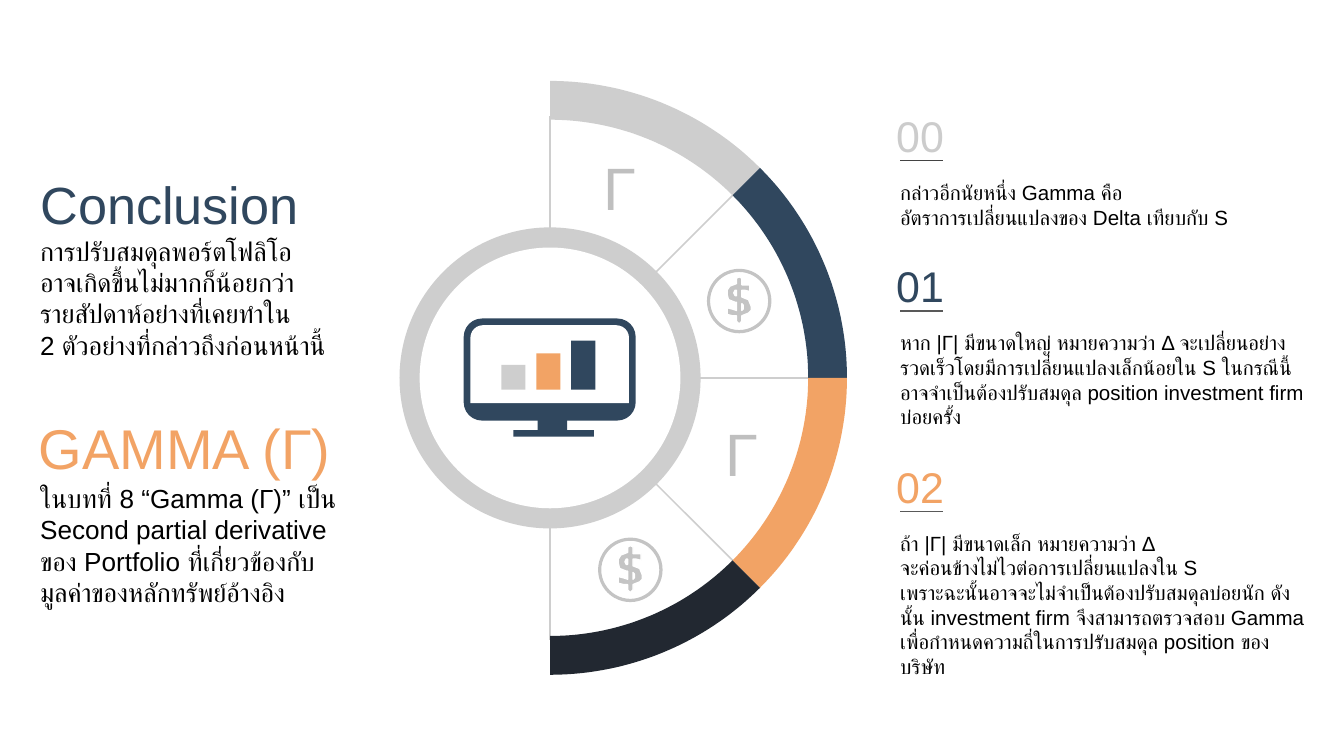
from dataclasses import dataclass
from math import cos, radians, sin

from lxml import etree
from pptx import Presentation
from pptx import util as u
from pptx.dml.color import RGBColor
from pptx.enum import shapes, text
from pptx.oxml import ns


@dataclass(frozen=True)
class Theme:
    font: str = "Arial"
    navy: str = "30475E"
    orange: str = "F2A365"
    ink: str = "222831"
    silver: str = "CECECE"
    number_grey: str = "CCCCCC"
    icon_grey: str = "C4C4C4"
    symbol_grey: str = "BFBFBF"
    rule_dark: str = "434343"
    rule: str = "595959"
    black: str = "000000"
    white: str = "FFFFFF"
    title: float = 28
    topic: float = 30
    symbol: float = 32
    number: float = 23
    lead: float = 14
    body: float = 11
    thin: float = 0.75
    spoke: float = 0.81


THEME = Theme()
COLUMNS, ROWS = 100, 56.25
HUB = (40.93, 28.12)
BAND = (19.3, 22.2)
SPOKE = (10.8, 19.5)
STEP = 45
FINE = 1000

DOLLAR = [
    [(0, -18), (-2, -17), (-2, -13), (-7, -11), (-9, -8), (-9, -5), (-8, -1),
     (-3, 1), (-2, 1), (-2, 7), (-5, 6), (-9, 5), (-9, 10), (-5, 11), (-2, 11),
     (-2, 15), (0, 17), (2, 15), (2, 11), (7, 9), (9, 7), (9, 4), (7, -1),
     (2, -3), (2, -8), (4, -8), (8, -7), (8, -12), (3, -12), (2, -12), (2, -17)],
    [(-2, -8), (-2, -4), (-3, -4), (-4, -6), (-3, -8)],
    [(2, 2), (2, 7), (3, 6), (3, 5), (3, 3)],
]

SECTIONS = [
    (8.1, "00", THEME.number_grey, THEME.rule_dark, 4.7,
     "กล่าวอีกนัยหนึ่ง Gamma คือ \vอัตราการเปลี่ยนแปลงของ Delta เทียบกับ S"),
    (19.3, "01", THEME.navy, THEME.rule, 8.4,
     "หาก |Γ| มีขนาดใหญ่ หมายความว่า Δ จะเปลี่ยนอย่างรวดเร็วโดยมีการเปลี่ยนแปลงเล็กน้อยใน S "
     "ในกรณีนี้อาจจำเป็นต้องปรับสมดุล position investment firm บ่อยครั้ง"),
    (34.2, "02", THEME.orange, THEME.rule, 12.1,
     "ถ้า |Γ| มีขนาดเล็ก หมายความว่า Δ \vจะค่อนข้างไม่ไวต่อการเปลี่ยนแปลงใน S \v"
     "เพราะฉะนั้นอาจจะไม่จำเป็นต้องปรับสมดุลบ่อยนัก ดังนั้น investment firm "
     "จึงสามารถตรวจสอบ Gamma เพื่อกำหนดความถี่ในการปรับสมดุล position ของบริษัท"),
]

CONCLUSION = ("การปรับสมดุลพอร์ตโฟลิโอ\vอาจเกิดขึ้นไม่มากก็น้อยกว่า\v"
              "รายสัปดาห์อย่างที่เคยทำใน \v2 ตัวอย่างที่กล่าวถึงก่อนหน้านี้")
GAMMA = ("ในบทที่ 8 “Gamma (Γ)” เป็น\nSecond partial derivative\n"
         "ของ Portfolio ที่เกี่ยวข้องกับ\nมูลค่าของหลักทรัพย์อ้างอิง")


def grid(count):
    return u.Inches(count / 10)


def polar(radius, angle, center=HUB):
    return (center[0] + radius * cos(radians(angle)),
            center[1] + radius * sin(radians(angle)))


def paint(shape, fill, line=None):
    shape.shadow.inherit = False
    shape.fill.solid()
    shape.fill.fore_color.rgb = RGBColor.from_string(fill)
    if line:
        shape.line.color.rgb = RGBColor.from_string(line)
        shape.line.width = u.Pt(THEME.thin)
    else:
        shape.line.fill.background()


def write(frame, wording, size, color):
    frame.text = wording
    frame.word_wrap = True
    for paragraph in frame.paragraphs:
        paragraph.alignment = text.PP_ALIGN.LEFT
        paragraph.font.size = u.Pt(size)
        paragraph.font.name = THEME.font
        paragraph.font.color.rgb = RGBColor.from_string(color)
        defaults = paragraph._p.pPr.find(ns.qn("a:defRPr"))
        etree.SubElement(defaults, ns.qn("a:cs"), typeface=THEME.font)


def add_words(slide, box, wording, size, color):
    frame = slide.shapes.add_textbox(*map(grid, box)).text_frame
    write(frame, wording, size, color)
    return frame


def add_title(slide, box, wording):
    title = slide.shapes.title
    title.left, title.top, title.width, title.height = map(grid, box)
    write(title.text_frame, wording, THEME.title, THEME.navy)
    title.text_frame.auto_size = text.MSO_AUTO_SIZE.NONE
    title.text_frame.vertical_anchor = text.MSO_ANCHOR.TOP


def add_preset(slide, kind, box, fill, adjust=None):
    shape = slide.shapes.add_shape(kind, *map(grid, box))
    if adjust is not None:
        shape.adjustments[0] = adjust
    paint(shape, fill)


def add_disc(slide, radius, fill):
    box = (HUB[0] - radius, HUB[1] - radius, 2 * radius, 2 * radius)
    add_preset(slide, shapes.MSO_SHAPE.OVAL, box, fill)


def add_rule(slide, start, end, color, width):
    rule = slide.shapes.add_connector(
        shapes.MSO_CONNECTOR.STRAIGHT, *map(grid, (*start, *end)))
    rule.line.color.rgb = RGBColor.from_string(color)
    rule.line.width = u.Pt(width)
    etree.SubElement(rule._element.spPr, ns.qn("a:effectLst"))


def add_outline(slide, contours, origin, unit, fill, line=None):
    builder = slide.shapes.build_freeform(*contours[0][0], scale=grid(unit))
    builder.add_line_segments(contours[0][1:], close=True)
    for contour in contours[1:]:
        builder.move_to(*contour[0])
        builder.add_line_segments(contour[1:], close=True)
    paint(builder.convert_to_shape(*map(grid, origin)), fill, line)


def add_sector(slide, start, fill):
    angles = range(start, start + STEP + 1)
    inner, outer = ([polar(radius * FINE, angle, (0, 0)) for angle in angles]
                    for radius in BAND)
    add_outline(slide, [outer + inner[::-1]], HUB, 1 / FINE, fill)


def add_coin(slide, x, y):
    size = 4.8
    add_preset(slide, shapes.MSO_SHAPE.DONUT,
               (x - size / 2, y - size / 2, size, size), THEME.icon_grey, 0.05)
    add_outline(slide, DOLLAR, (x, y), 0.1, THEME.icon_grey, THEME.white)


def add_monitor(slide):
    add_preset(slide, shapes.MSO_SHAPE.ROUNDED_RECTANGLE,
               (34.5, 23.7, 12.8, 7.6), THEME.navy, 0.18)
    add_preset(slide, shapes.MSO_SHAPE.ROUND_2_SAME_RECTANGLE,
               (35, 24.2, 11.8, 5.8), THEME.white, 0.16)
    block = shapes.MSO_SHAPE.RECTANGLE
    add_preset(slide, block, (40, 30.2, 2.2, 2.1), THEME.navy)
    add_preset(slide, block, (38.2, 32, 6, 0.5), THEME.navy)
    bars = zip((1.85, 2.7, 3.65), (THEME.silver, THEME.orange, THEME.navy))
    for index, (height, color) in enumerate(bars):
        add_preset(slide, block, (37.3 + 2.6 * index, 29 - height, 1.8, height), color)


def add_wheel(slide):
    for index in range(5):
        angle = -90 + STEP * index
        add_rule(slide, polar(SPOKE[0], angle), polar(SPOKE[1], angle),
                 THEME.silver, THEME.spoke)
    for index, color in enumerate((THEME.silver, THEME.navy, THEME.orange, THEME.ink)):
        add_sector(slide, -90 + STEP * index, color)
    add_disc(slide, 11.2, THEME.silver)
    add_disc(slide, 9.7, THEME.white)
    add_monitor(slide)
    for center in ((46.9, 42.4), (55, 22.4)):
        add_coin(slide, *center)
    for corner in ((43.9, 10.7), (53, 30.5)):
        add_words(slide, (*corner, 4.9, 6.4), "Γ", THEME.symbol, THEME.symbol_grey)


def add_section(slide, top, number, color, rule_color, height, wording):
    frame = add_words(slide, (65.7, top, 26.4, 3.9), number, THEME.number, color)
    frame.vertical_anchor = text.MSO_ANCHOR.MIDDLE
    frame.margin_top = frame.margin_bottom = grid(1)
    add_rule(slide, (67, top + 3.85), (70.2, top + 3.85), rule_color, THEME.thin)
    add_words(slide, (66, top + 4.8, 32.6, height), wording, THEME.body, THEME.black)


def main():
    deck = Presentation()
    deck.slide_width, deck.slide_height = grid(COLUMNS), grid(ROWS)
    slide = deck.slides.add_slide(deck.slide_layouts.get_by_name("Title Only"))
    add_title(slide, (2, 12.3, 23.2, 5.7), "Conclusion")
    add_wheel(slide)
    for section in SECTIONS:
        add_section(slide, *section)
    add_words(slide, (2, 17, 27.2, 10.4), CONCLUSION, THEME.lead, THEME.black)
    add_words(slide, (1.9, 30.3, 25.4, 6.1), "GAMMA (Γ)", THEME.topic, THEME.orange)
    add_words(slide, (2, 35.4, 29.9, 10.4), GAMMA, THEME.lead, THEME.black)
    deck.save("out.pptx")


if __name__ == "__main__":
    main()
